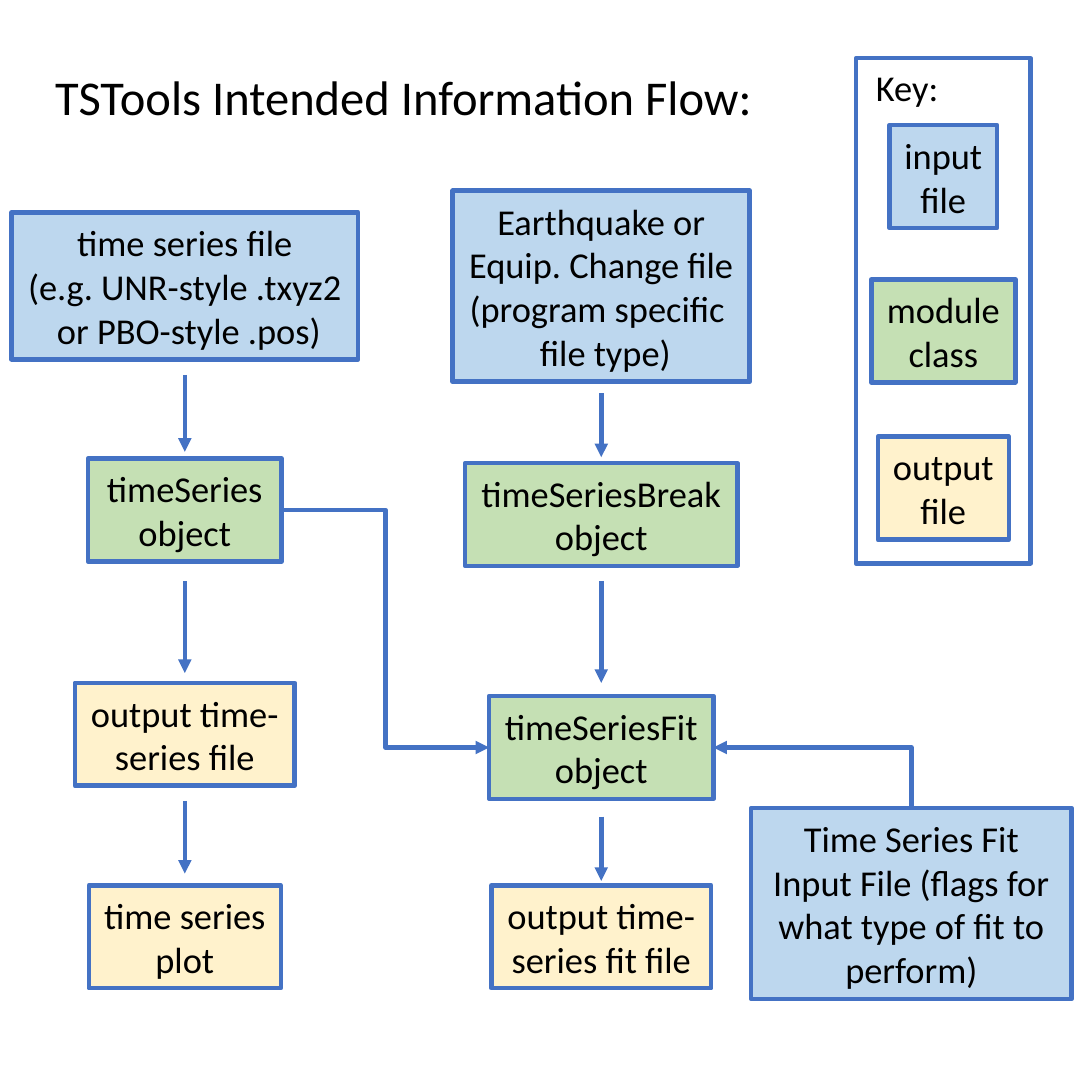
from collections import namedtuple

from lxml.etree import SubElement
from pptx import Presentation
from pptx.dml.color import RGBColor
from pptx.enum.shapes import MSO_CONNECTOR, MSO_SHAPE
from pptx.enum.text import MSO_ANCHOR, MSO_AUTO_SIZE, PP_ALIGN
from pptx.oxml.ns import qn
from pptx.util import Pt

COLORS = {
    "input": "BDD7EE",
    "module": "C5E0B4",
    "output": "FFF2CC",
    "line": "4472C4",
    "text": "000000",
}
LINE_HEIGHT = 21.8
BOX_PADDING = 7.3

Box = namedtuple("Box", "left top width height")
Step = namedtuple("Step", "offset width kind lines")


def color(name):
    return RGBColor.from_string(COLORS[name])


def write(shape, lines, size=18, align=PP_ALIGN.LEFT, wrap=False):
    frame = shape.text_frame
    frame.text = "\n".join(lines)
    frame.word_wrap = wrap
    frame.auto_size = MSO_AUTO_SIZE.SHAPE_TO_FIT_TEXT
    for para in frame.paragraphs:
        para.alignment = align
        para.font.name = "Calibri"
        para.font.size = Pt(size)
        para.font.color.rgb = color("text")


def add_label(slide, box, text, size):
    label = slide.shapes.add_textbox(*map(Pt, box))
    write(label, [text], size)


def add_rectangle(slide, box, kind=None):
    shape = slide.shapes.add_shape(MSO_SHAPE.RECTANGLE, *map(Pt, box))
    shape.shadow.inherit = False
    if kind:
        shape.fill.solid()
        shape.fill.fore_color.rgb = color(kind)
    else:
        shape.fill.background()
    shape.line.color.rgb = color("line")
    shape.line.width = Pt(2.25)
    return shape


def add_card(slide, box, kind, lines, wrap=False):
    card = add_rectangle(slide, box, kind)
    card.text_frame.vertical_anchor = MSO_ANCHOR.MIDDLE
    write(card, lines, align=PP_ALIGN.CENTER, wrap=wrap)
    return card


def add_arrow(slide, start, end, style=MSO_CONNECTOR.STRAIGHT, head="tailEnd"):
    arrow = slide.shapes.add_connector(style, *map(Pt, start + end))
    arrow.line.color.rgb = color("line")
    arrow.line.width = Pt(2.25)
    SubElement(arrow.line._get_or_add_ln(), qn(f"a:{head}"), type="triangle")
    SubElement(arrow._element.spPr, qn("a:effectLst"))
    return arrow


def join(slide, first, second, head="tailEnd", second_side=1):
    """Bent arrow from the right side of one card to a side of another."""
    arrow = add_arrow(slide, (0, 0), (0, 0), MSO_CONNECTOR.ELBOW, head)
    arrow.begin_connect(first, 3)
    arrow.end_connect(second, second_side)
    return arrow


def add_stack(slide, box, steps):
    """Cards centred in the box, each at its offset from the top."""
    cards = []
    for step in steps:
        left = box.left + (box.width - step.width) / 2
        height = BOX_PADDING + LINE_HEIGHT * len(step.lines)
        card_box = Box(left, box.top + step.offset, step.width, height)
        cards.append(add_card(slide, card_box, step.kind, step.lines))
    return cards


def add_flow(slide, box, steps, arrows):
    """Stack of cards with vertical arrows between them."""
    cards = add_stack(slide, box, steps)
    middle = box.left + box.width / 2
    for start, end in arrows:
        add_arrow(slide, (middle, box.top + start), (middle, box.top + end))
    return cards


def add_key(slide, box):
    add_rectangle(slide, box)
    add_label(slide, Box(box.left + 2.8, box.top, 46.1, 29.1), "Key:", 18)
    add_stack(slide, box, [
        Step(33.1, 53.3, "input", ["input", "file"]),
        Step(109.4, 71.3, "module", ["module", "class"]),
        Step(187.2, 64.8, "output", ["output", "file"]),
    ])


def add_fit_input(slide, box, fit_card):
    text = "Time Series Fit Input File (flags for what type of fit to perform)"
    card = add_card(slide, box, "input", [text], wrap=True)
    arrow = join(slide, fit_card, card, head="headEnd", second_side=0)
    # A single bend: right from the fit object, then down to the input file
    arrow._element.spPr.find(qn("a:prstGeom")).set("prst", "bentConnector2")


def main():
    deck = Presentation()
    deck.slide_width = deck.slide_height = Pt(540)
    slide = deck.slides.add_slide(deck.slide_layouts[6])

    # Title
    title = "TSTools Intended Information Flow:"
    add_label(slide, Box(20.2, 29.5, 362.2, 36.4), title, 24)

    # Time series column
    series_cards = add_flow(slide, Box(5.7, 105, 171.4, 388.7), [
        Step(0, 171.4, "input", ["time series file", "(e.g. UNR-style .txyz2",
                                 " or PBO-style .pos)"]),
        Step(121.8, 95.8, "module", ["timeSeries", "object"]),
        Step(232.7, 108.7, "output", ["output time-", "series file"]),
        Step(332.8, 95, "output", ["time series", "plot"]),
    ], [(80.4, 118.4), (182.4, 227.8), (291, 327)])

    # Breaks and fit column
    fit_cards = add_flow(slide, Box(223.9, 94.3, 146.9, 399.4), [
        Step(0, 146.9, "input", ["Earthquake or", "Equip. Change file",
                                 "(program specific ", " file type)"]),
        Step(134.7, 134.6, "module", ["timeSeriesBreak", "object"]),
        Step(249.9, 110.9, "module", ["timeSeriesFit", "object"]),
        Step(343.5, 108.7, "output", ["output time-", "series fit file"]),
    ], [(100.2, 131.8), (193, 243.4), (309.6, 341.3)])

    # Inputs to the fit
    join(slide, series_cards[1], fit_cards[2])
    add_fit_input(slide, Box(371.5, 399.6, 158.4, 94.5), fit_cards[2])

    # Key
    add_key(slide, Box(423.3, 28.8, 86.4, 249.8))

    deck.save("out.pptx")


if __name__ == "__main__":
    main()
